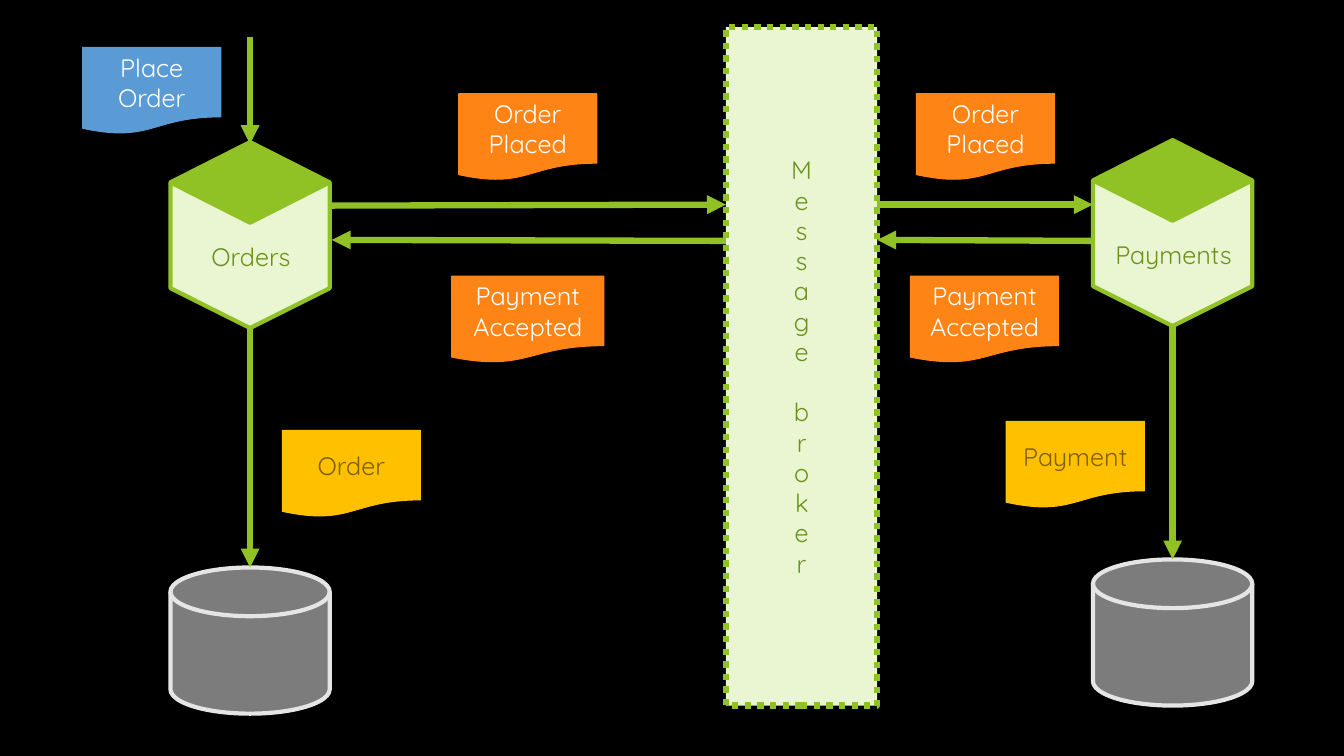
from lxml.etree import SubElement
from pptx import Presentation
from pptx.dml.color import RGBColor
from pptx.enum.dml import MSO_LINE
from pptx.enum.shapes import MSO_CONNECTOR, MSO_SHAPE
from pptx.enum.text import MSO_ANCHOR, MSO_AUTO_SIZE, PP_ALIGN
from pptx.oxml.ns import qn
from pptx.util import Inches, Pt

GREEN, PALE, MOSS = "90C226", "EAF6D1", "6C921D"
BLUE, ORANGE, GOLD = "5B9BD5", "FF8416", "FFC000"
WHITE, BROWN, GRAY, SILVER = "FFFFFF", "806000", "7C7C7C", "E5E5E5"


def color(code):
    return RGBColor.from_string(code)


class Board:
    font = "Quicksand"
    size = 18
    stroke = 4.5

    def __init__(self, slide):
        self.slide = slide
        self.shapes = slide.shapes
        slide.background.fill.solid()
        slide.background.fill.fore_color.rgb = color("000000")

    def letter(self, shape, text, ink):
        frame = shape.text_frame
        frame.text = text
        frame.vertical_anchor = MSO_ANCHOR.MIDDLE
        para = frame.paragraphs[0]
        para.alignment = PP_ALIGN.CENTER
        for run in para.runs:
            run.font.name = self.font
            run.font.size = Pt(self.size)
            run.font.color.rgb = color(ink)

    def shape(self, kind, box, fill, line, width):
        shape = self.shapes.add_shape(kind, *map(Inches, box))
        shape.shadow.inherit = False
        shape.fill.solid()
        shape.fill.fore_color.rgb = color(fill)
        shape.line.color.rgb = color(line)
        shape.line.width = Pt(width)
        return shape

    def label(self, box, text, ink):
        label = self.shapes.add_textbox(*map(Inches, box))
        self.letter(label, text, ink)
        label.text_frame.word_wrap = False
        label.text_frame.auto_size = MSO_AUTO_SIZE.SHAPE_TO_FIT_TEXT

    def arrow(self, start, end):
        arrow = self.shapes.add_connector(
            MSO_CONNECTOR.STRAIGHT, *map(Inches, start + end))
        arrow.line.color.rgb = color(GREEN)
        arrow.line.width = Pt(self.stroke)
        props = arrow._element.spPr
        SubElement(props.find(qn("a:ln")), qn("a:tailEnd"), type="triangle")
        SubElement(props, qn("a:effectLst"))

    def service(self, mid, top, name, width):
        hexagon = self.shape(MSO_SHAPE.HEXAGON,
                             (mid - 0.915, top + 0.14, 1.83, 1.58), PALE, GREEN, 3)
        hexagon.rotation = 90
        self.shape(MSO_SHAPE.DIAMOND, (mid - 0.79, top, 1.58, 0.8), GREEN, GREEN, 3)
        self.label((mid - width / 2 + 0.01, top + 0.93, width, 0.4), name, MOSS)

    def store(self, mid, top):
        self.shape(MSO_SHAPE.FLOWCHART_MAGNETIC_DISK,
                   (mid - 0.79, top, 1.58, 1.45), GRAY, SILVER, 3)

    def broker(self, box, text):
        broker = self.shape(MSO_SHAPE.RECTANGLE, box, PALE, GREEN, self.stroke)
        broker.line.dash_style = MSO_LINE.ROUND_DOT
        self.letter(broker, text, MOSS)
        broker.text_frame._txBody.bodyPr.set("vert", "wordArtVert")

    def note(self, left, top, text, fill, ink=WHITE, width=1.37):
        note = self.shape(MSO_SHAPE.FLOWCHART_DOCUMENT,
                          (left, top, width, 0.86), fill, fill, 0.75)
        self.letter(note, text, ink)


def main():
    deck = Presentation()
    deck.slide_width, deck.slide_height = Inches(13.33), Inches(7.5)
    board = Board(deck.slides.add_slide(deck.slide_layouts[6]))

    services = [
        (2.48, 1.41, "Orders", 1.01, 5.63),
        (11.63, 1.39, "Payments", 1.4, 5.55),
    ]
    for mid, top, name, width, base in services:
        board.service(mid, top, name, width)
        board.store(mid, base)
        board.arrow((mid, top + 1.84), (mid, base))

    board.broker((7.2, 0.27, 1.5, 6.73), "Message broker")

    arrows = [
        ((2.48, 0.37), (2.48, 1.43)),
        ((3.27, 2.04), (7.2, 2.03)),
        ((8.7, 2.03), (10.84, 2.03)),
        ((10.84, 2.39), (8.7, 2.38)),
        ((7.2, 2.39), (3.29, 2.38)),
    ]
    for start, end in arrows:
        board.arrow(start, end)

    board.note(0.82, 0.47, "Place Order", BLUE)
    for left in (4.55, 9.09):
        board.note(left, 0.93, "Order Placed", ORANGE)
    for left, width in ((4.48, 1.51), (9.03, 1.47)):
        board.note(left, 2.74, "Payment Accepted", ORANGE, width=width)
    board.note(2.8, 4.27, "Order", GOLD, BROWN)
    board.note(9.98, 4.18, "Payment", GOLD, BROWN)

    deck.save("out.pptx")


if __name__ == "__main__":
    main()
